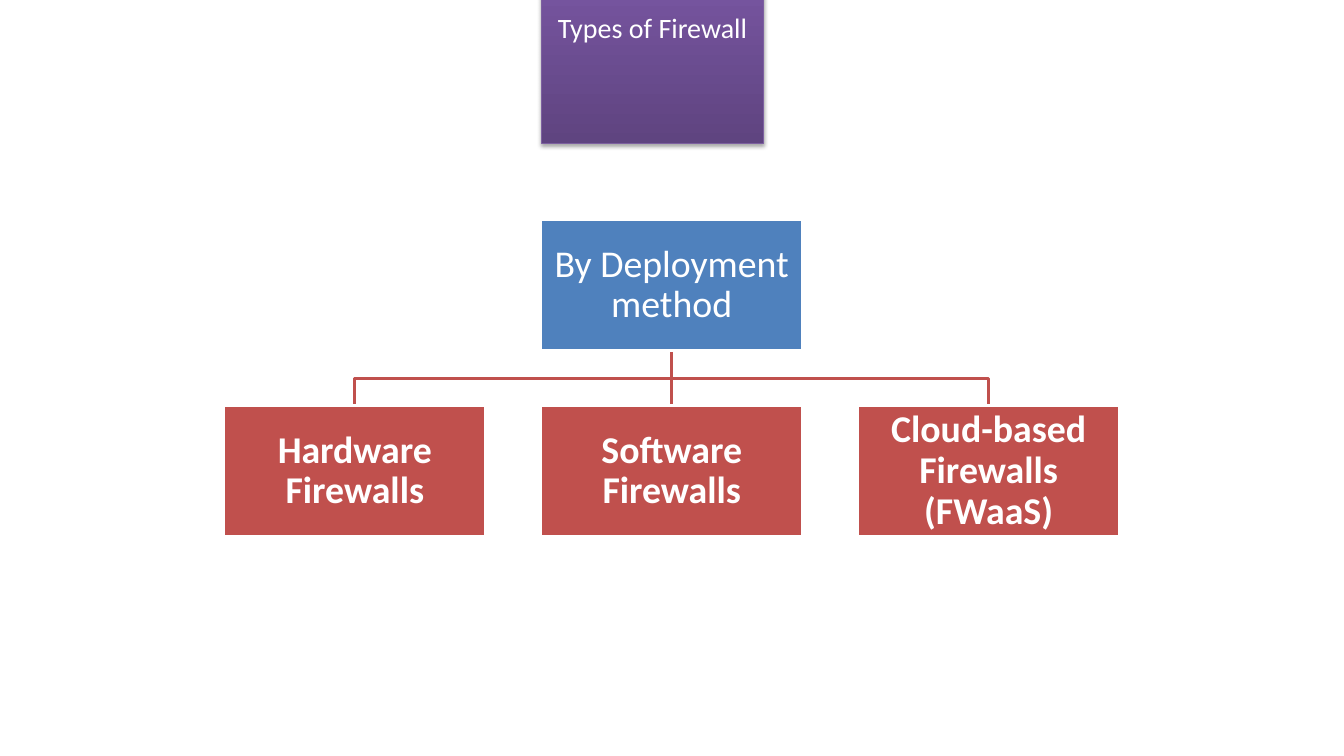
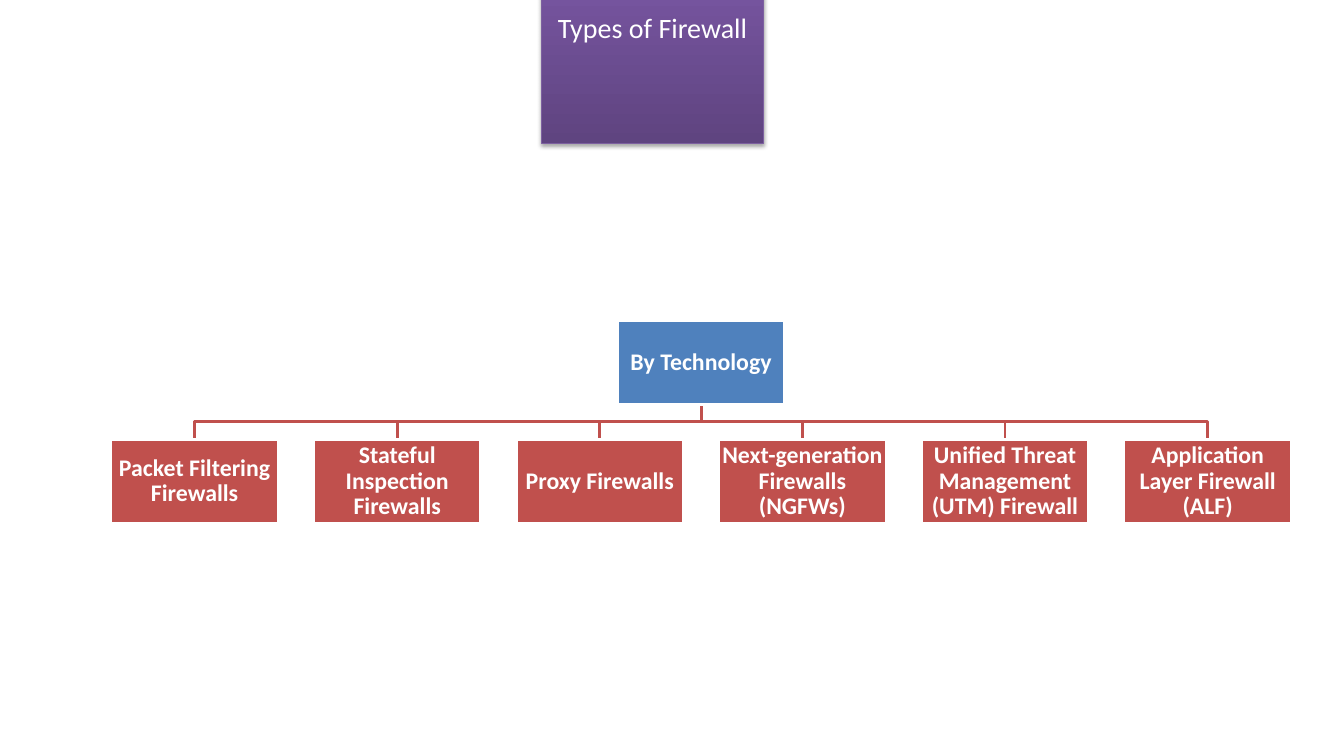
from dataclasses import dataclass

import pptx
import pptx.dml.color
import pptx.enum.shapes
import pptx.enum.text
import pptx.oxml
import pptx.util
from pptx.util import Cm

TITLE_SHADOW = (
    '<a:effectLst xmlns:a="http://schemas.openxmlformats.org/drawingml/2006/main">'
    '<a:outerShdw blurRad="40000" dist="23000" dir="5400000" rotWithShape="0">'
    '<a:srgbClr val="000000"><a:alpha val="35000"/></a:srgbClr>'
    '</a:outerShdw></a:effectLst>'
)
NO_EFFECTS = '<a:effectLst xmlns:a="http://schemas.openxmlformats.org/drawingml/2006/main"/>'


def rgb(value):
    return pptx.dml.color.RGBColor.from_string(value)


@dataclass(frozen=True)
class Theme:
    font: str = "Calibri"
    text: str = "FFFFFF"
    title_stops: tuple = ((0, "5F4480"), (0.8, "7B58A6"))
    title_line: str = "7D60A0"
    root: str = "4F81BD"
    branch: str = "C0504D"
    box_line: str = "FFFFFF"
    title_size: int = 20
    large_size: int = 27
    small_size: int = 17
    line_width: int = 2


class Deck:
    """Holds the presentation, its theme and the slide being built."""

    GAP_RATIO = 0.21  # gap between boxes and between levels, per box width
    INSET = 0.04

    def __init__(self, theme):
        self.theme = theme
        self.presentation = pptx.Presentation()
        self.presentation.slide_width = Cm(33.87)
        self.presentation.slide_height = Cm(19.05)
        self.slide = None

    def add_slide(self, title):
        layout = self.presentation.slide_layouts[5]
        self.slide = self.presentation.slides.add_slide(layout)
        self.style_title(self.slide.shapes.title, title)

    def style_title(self, shape, text):
        shape.left, shape.top, shape.width, shape.height = Cm(13.64), Cm(0.13), Cm(5.61), Cm(1.11)
        shape.fill.gradient()
        shape.fill.gradient_angle = 90
        for stop, (position, color) in zip(shape.fill.gradient_stops, self.theme.title_stops):
            stop.position = position
            stop.color.rgb = rgb(color)
        shape.line.color.rgb = rgb(self.theme.title_line)
        shape.line.width = pptx.util.Pt(0.75)
        shape.element.spPr.append(pptx.oxml.parse_xml(TITLE_SHADOW))
        shape.text_frame.auto_size = pptx.enum.text.MSO_AUTO_SIZE.SHAPE_TO_FIT_TEXT
        self.set_text(shape, text, self.theme.title_size, bold=False)

    def set_text(self, shape, text, size, bold):
        frame = shape.text_frame
        frame.text = text
        frame.word_wrap = True
        frame.vertical_anchor = pptx.enum.text.MSO_ANCHOR.MIDDLE
        paragraph = frame.paragraphs[0]
        paragraph.alignment = pptx.enum.text.PP_ALIGN.CENTER
        paragraph.font.name = self.theme.font
        paragraph.font.size = pptx.util.Pt(size)
        paragraph.font.bold = bold
        paragraph.font.color.rgb = rgb(self.theme.text)

    def set_line(self, shape, color):
        shape.line.color.rgb = rgb(color)
        shape.line.width = pptx.util.Pt(self.theme.line_width)

    def add_box(self, center, top, width, text, color, size, bold=True):
        """Add a box twice as wide as high, centred on a horizontal position."""
        shape = self.slide.shapes.add_shape(
            pptx.enum.shapes.MSO_SHAPE.RECTANGLE,
            Cm(center - width / 2), Cm(top), Cm(width), Cm(width / 2))
        shape.shadow.inherit = False
        shape.fill.solid()
        shape.fill.fore_color.rgb = rgb(color)
        self.set_line(shape, self.theme.box_line)
        self.set_text(shape, text, size, bold)
        frame = shape.text_frame
        frame.margin_left = frame.margin_right = Cm(self.INSET)
        frame.margin_top = frame.margin_bottom = Cm(self.INSET)
        frame.paragraphs[0].line_spacing = 0.9
        return shape

    def add_straight_branch(self, root, child):
        connector = self.slide.shapes.add_connector(
            pptx.enum.shapes.MSO_CONNECTOR.STRAIGHT, 0, 0, 0, 0)
        connector.begin_connect(root, 2)
        connector.end_connect(child, 0)
        self.set_line(connector, self.theme.branch)
        connector.element.spPr.append(pptx.oxml.parse_xml(NO_EFFECTS))
        return connector

    def add_bent_branch(self, root, child):
        start_x, start_y = root.left + root.width // 2, root.top + root.height
        end_x, end_y = child.left + child.width // 2, child.top
        middle_y = (start_y + end_y) // 2
        builder = self.slide.shapes.build_freeform(start_x, start_y)
        builder.add_line_segments(
            [(start_x, middle_y), (end_x, middle_y), (end_x, end_y)], close=False)
        branch = builder.convert_to_shape()
        branch.shadow.inherit = False
        branch.fill.background()
        self.set_line(branch, self.theme.branch)
        return branch

    def add_hierarchy(self, root_text, child_texts, center, top, width, size, root_bold=True):
        """Add a root box above an evenly spaced row of children."""
        gap = width * self.GAP_RATIO
        root = self.add_box(center, top, width, root_text, self.theme.root, size, root_bold)
        for index, text in enumerate(child_texts):
            offset = index - (len(child_texts) - 1) / 2
            child = self.add_box(center + offset * (width + gap), top + width / 2 + gap,
                                 width, text, self.theme.branch, size)
            add_branch = self.add_bent_branch if offset else self.add_straight_branch
            branch = add_branch(root, child)
            root.element.addprevious(branch.element)  # keep lines behind the boxes


def main():
    theme = Theme()
    deck = Deck(theme)
    title = "Types of Firewall"

    deck.add_slide(title)
    deck.add_hierarchy(
        "By Deployment method",
        ["Hardware Firewalls", "Software Firewalls", "Cloud-based Firewalls (FWaaS)"],
        center=16.93, top=5.54, width=6.6, size=theme.large_size, root_bold=False)

    deck.add_slide(title)
    deck.add_hierarchy(
        "By Technology",
        ["Packet Filtering Firewalls", "Stateful Inspection Firewalls", "Proxy Firewalls",
         "Next-generation Firewalls (NGFWs)", "Unified Threat Management (UTM) Firewall",
         "Application Layer Firewall (ALF)"],
        center=17.67, top=8.08, width=4.22, size=theme.small_size)

    deck.presentation.save("out.pptx")


if __name__ == "__main__":
    main()
